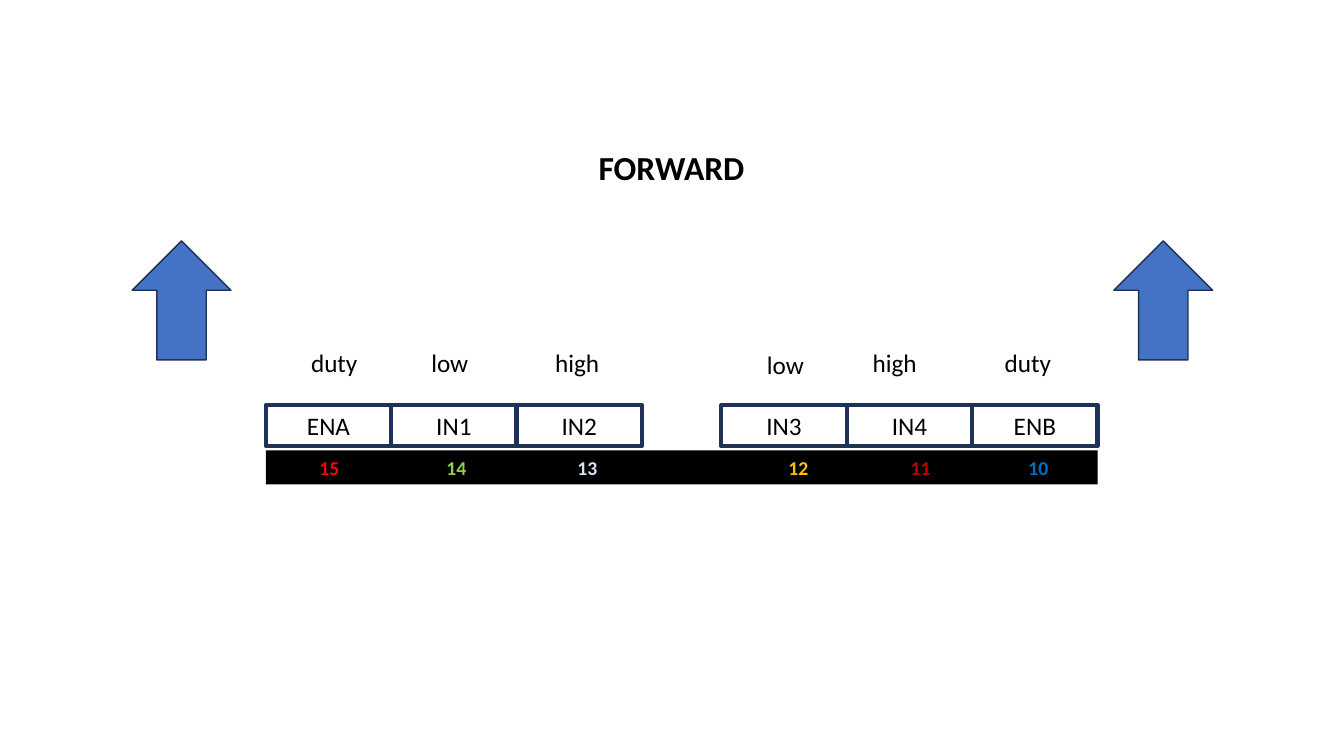
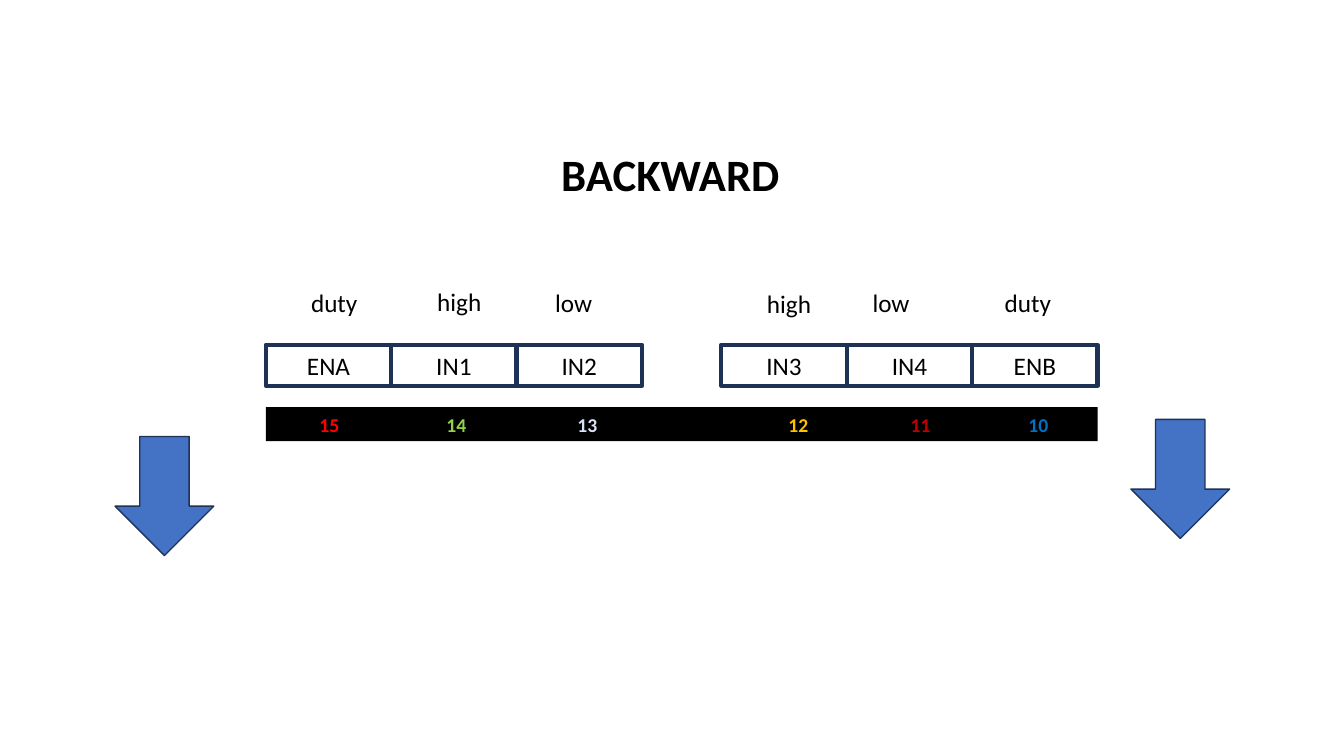
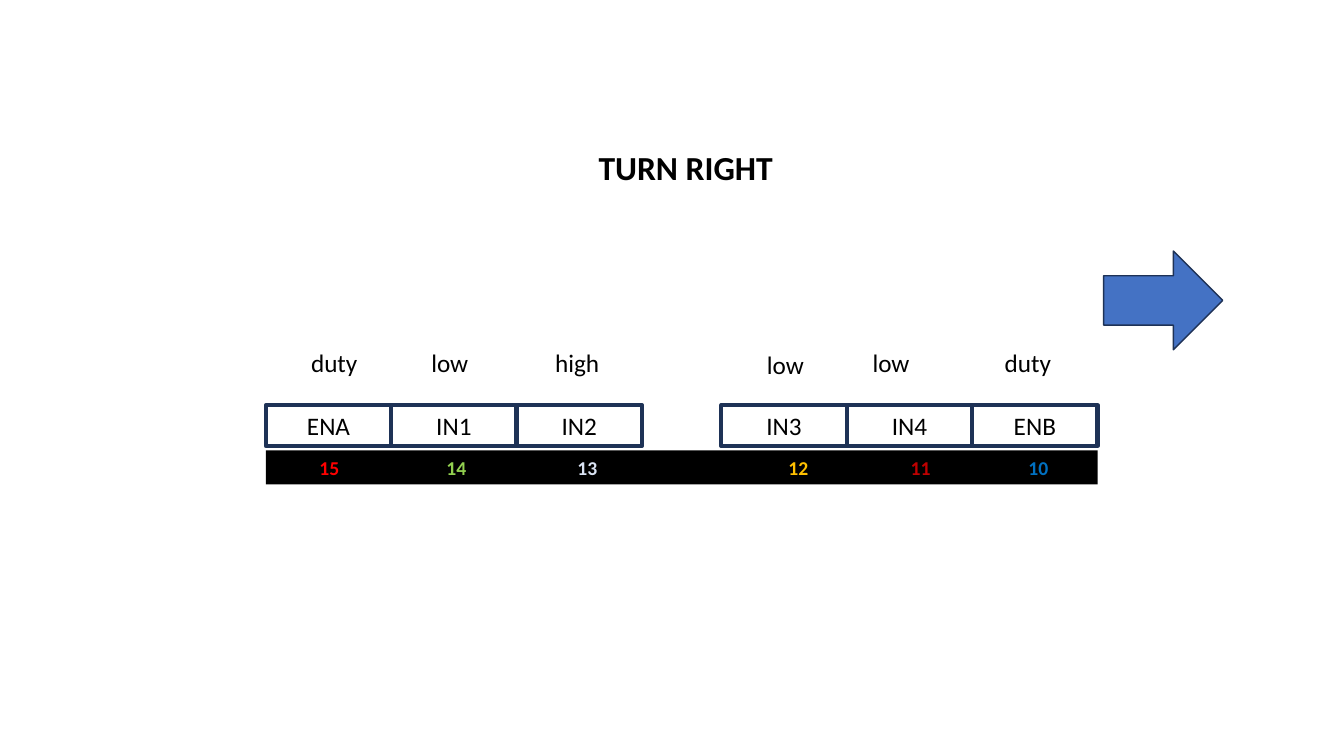
import dataclasses

import pptx
import pptx.dml.color
import pptx.enum.shapes
import pptx.enum.text
import pptx.oxml
import pptx.oxml.ns
import pptx.util
from pptx.util import Cm

PINS = [
    ("ENA", "15", "FF0000"),
    ("IN1", "14", "92D050"),
    ("IN2", "13", "DAE3F3"),
    ("IN3", "12", "FFC000"),
    ("IN4", "11", "C00000"),
    ("ENB", "10", "0070C0"),
]
LEVEL_LEFTS = [7.59, 10.62, 13.74, 19.08, 21.74, 25.07]
LEVEL_DROPS = [0, 0, 0, 0.03, 0, 0]
LEVEL_WIDTHS = {"duty": 1.7, "low": 1.45, "high": 1.65}
NUMBER_TABS = [1.1, 4.3, 7.6, 12.92, 16, 18.97]

MOVES = [
    {
        "title": "FORWARD", "title_at": (14.83, 3.58, 4.22, 1.27), "title_size": 24,
        "levels": ["duty", "low", "high", "low", "high", "duty"], "nudges": {},
        "pins_top": 10.21, "strip_top": 11.35,
        "turn": 180, "arrows": [(3.33, 6.07), (28.07, 6.07)],
    },
    {
        "title": "BACKWARD", "title_at": (13.89, 3.56, 6.07, 1.63), "title_size": 32,
        "levels": ["duty", "high", "low", "high", "low", "duty"],
        "nudges": {1: (0.15, -0.03)},
        "pins_top": 8.69, "strip_top": 10.26,
        "turn": 0, "arrows": [(2.9, 11), (28.5, 10.57)],
    },
    {
        "title": "TURN RIGHT", "title_at": (14.83, 3.58, 4.93, 1.27), "title_size": 24,
        "levels": ["duty", "low", "high", "low", "low", "duty"], "nudges": {},
        "pins_top": 10.21, "strip_top": 11.35,
        "turn": 270, "arrows": [(28.07, 6.07)],
    },
]

PIN_LEFT, PIN_WIDTH, PIN_HEIGHT = 6.7, 3.16, 1.03
PINS_PER_SIDE, SIDE_GAP = 3, 2
STRIP_WIDTH, STRIP_HEIGHT = len(PINS) * PIN_WIDTH + SIDE_GAP, 0.86
LEVEL_RISE = 1.57
ARROW_SIZE = (2.49, 3)


@dataclasses.dataclass(frozen=True)
class Theme:
    font: str = "Calibri"
    ink: str = "000000"
    outline: str = "1E3256"
    arrow: str = "4472C4"
    pin_size: int = 18
    number_size: int = 14
    pin_line: float = 3
    arrow_line: float = 1


THEME = Theme()
SHAPES = pptx.enum.shapes.MSO_SHAPE
ALIGN = pptx.enum.text.PP_ALIGN


def rgb(value):
    return pptx.dml.color.RGBColor.from_string(value)


def style(paragraph, size, bold=False, align=ALIGN.LEFT):
    paragraph.alignment = align
    paragraph.font.name = THEME.font
    paragraph.font.size = pptx.util.Pt(size)
    paragraph.font.bold = bold
    paragraph.font.color.rgb = rgb(THEME.ink)


def add_block(slide, kind, at, fill=None, line=None):
    block = slide.shapes.add_shape(kind, *map(Cm, at))
    block.shadow.inherit = False
    if fill:
        block.fill.solid()
        block.fill.fore_color.rgb = rgb(fill)
    else:
        block.fill.background()
    if line:
        block.line.color.rgb = rgb(THEME.outline)
        block.line.width = pptx.util.Pt(line)
    else:
        block.line.fill.background()
    return block


def write_label(label, text, size, bold=False):
    frame = label.text_frame
    frame.text = text
    frame.word_wrap = False
    frame.auto_size = pptx.enum.text.MSO_AUTO_SIZE.SHAPE_TO_FIT_TEXT
    style(frame.paragraphs[0], size, bold)


def add_title(slide, move):
    title = slide.shapes.title
    title.left, title.top, title.width, title.height = map(Cm, move["title_at"])
    write_label(title, move["title"], move["title_size"], bold=True)


def add_pins(slide, top):
    for index, (name, _, _) in enumerate(PINS):
        left = PIN_LEFT + index * PIN_WIDTH + index // PINS_PER_SIDE * SIDE_GAP
        pin = add_block(slide, SHAPES.RECTANGLE, (left, top, PIN_WIDTH, PIN_HEIGHT),
                        line=THEME.pin_line)
        pin.text_frame.text = name
        style(pin.text_frame.paragraphs[0], THEME.pin_size, align=ALIGN.CENTER)


def add_levels(slide, move):
    columns = zip(move["levels"], LEVEL_LEFTS, LEVEL_DROPS)
    for index, (level, left, drop) in enumerate(columns):
        across, down = move["nudges"].get(index, (0, 0))
        top = move["pins_top"] - LEVEL_RISE + drop + down
        label = slide.shapes.add_textbox(
            Cm(left + across), Cm(top), Cm(LEVEL_WIDTHS[level]), Cm(PIN_HEIGHT))
        write_label(label, level, THEME.pin_size)


def add_strip(slide, top):
    strip = add_block(slide, SHAPES.RECTANGLE,
                      (PIN_LEFT, top, STRIP_WIDTH, STRIP_HEIGHT), fill=THEME.ink)
    numbers = strip.text_frame.paragraphs[0]
    properties = numbers._p.get_or_add_pPr()
    tabs = pptx.oxml.xmlchemy.OxmlElement("a:tabLst")
    properties.append(tabs)
    for position in NUMBER_TABS:
        tab = pptx.oxml.xmlchemy.OxmlElement("a:tab")
        tab.set("pos", str(Cm(position)))
        tab.set("algn", "l")
        tabs.append(tab)
    style(numbers, THEME.number_size, bold=True)
    for _, number, colour in PINS:
        run = numbers.add_run()
        run.text = "\t" + number
        run.font.color.rgb = rgb(colour)


def add_arrows(slide, move):
    for corner in move["arrows"]:
        arrow = add_block(slide, SHAPES.DOWN_ARROW, corner + ARROW_SIZE,
                          fill=THEME.arrow, line=THEME.arrow_line)
        arrow.rotation = move["turn"]


def main():
    deck = pptx.Presentation()
    deck.slide_width, deck.slide_height = Cm(33.87), Cm(19.05)
    for move in MOVES:
        slide = deck.slides.add_slide(deck.slide_layouts[5])
        add_title(slide, move)
        add_pins(slide, move["pins_top"])
        add_arrows(slide, move)
        add_levels(slide, move)
        add_strip(slide, move["strip_top"])
    deck.save("out.pptx")


if __name__ == "__main__":
    main()
